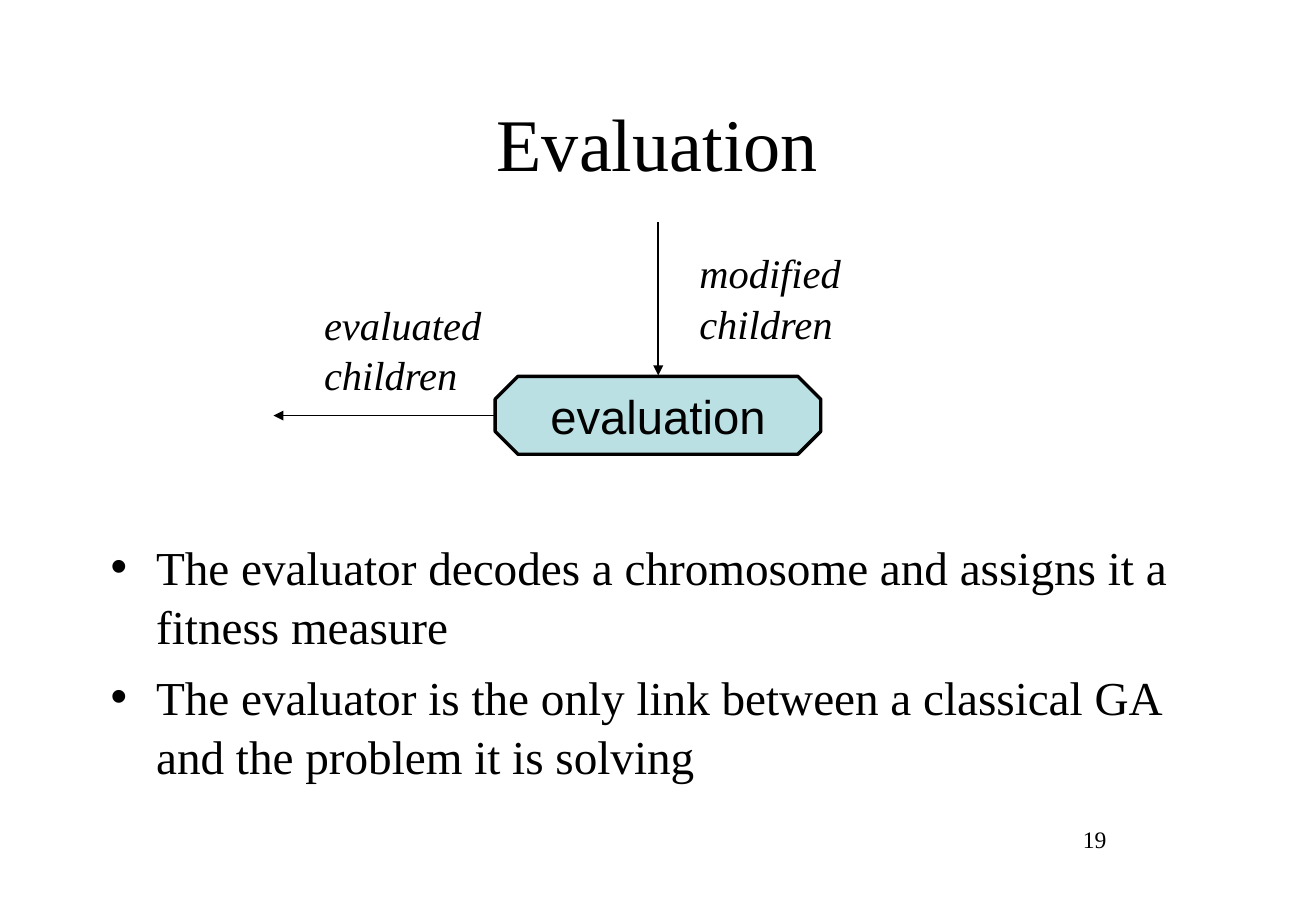
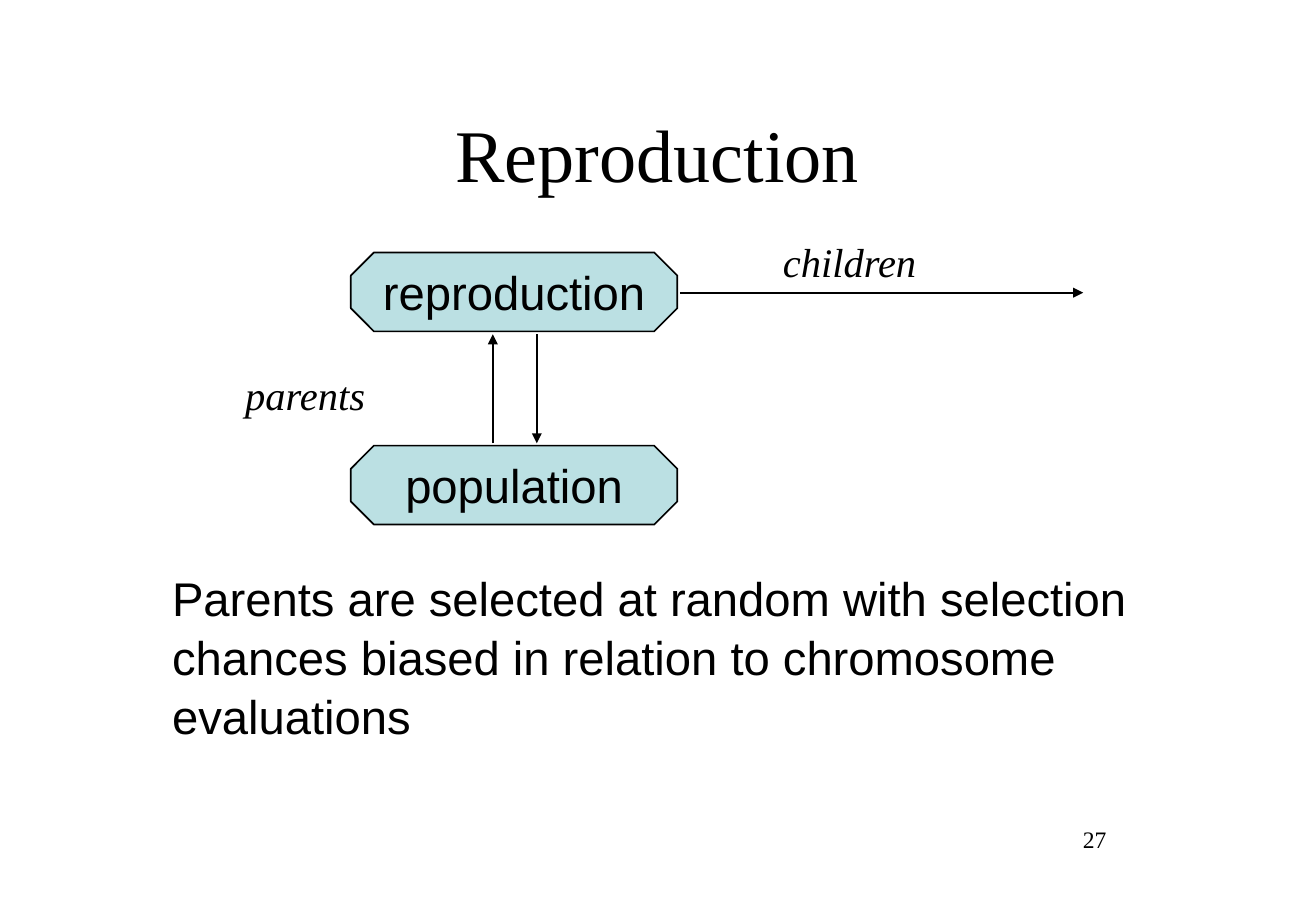
from dataclasses import dataclass

from lxml import etree
from pptx import Presentation
from pptx.dml.color import RGBColor
from pptx.enum.shapes import MSO_CONNECTOR, MSO_SHAPE
from pptx.enum.text import MSO_ANCHOR, MSO_AUTO_SIZE, PP_ALIGN
from pptx.oxml.ns import qn
from pptx.slide import Slide
from pptx.text.text import TextFrame
from pptx.util import Cm, Pt

# Shared style
BLACK = "000000"
PALE_TEAL = "BBE0E3"
SERIF = "Times New Roman"
SANS = "Arial"
MARGIN, CONTENT_WIDTH = 2.06, 23.39
LINE_SPACING = 1.04
TITLE_AND_BODY, TITLE_ONLY = 1, 5


@dataclass(frozen=True)
class Area:
    """Left, top, width and height in centimetres."""
    left: float
    top: float
    width: float
    height: float

    def lengths(self) -> tuple[Cm, Cm, Cm, Cm]:
        return Cm(self.left), Cm(self.top), Cm(self.width), Cm(self.height)


@dataclass(frozen=True)
class TextStyle:
    font: str
    size: float
    italic: bool = False
    align: PP_ALIGN = PP_ALIGN.LEFT
    spacing: float = 1.0
    gap: float = 0


@dataclass(frozen=True)
class Step:
    text: str
    area: Area
    outline: float


@dataclass(frozen=True)
class Arrow:
    """Runs from its plain end to its arrowhead, in centimetres."""
    x1: float
    y1: float
    x2: float
    y2: float


@dataclass(frozen=True)
class Label:
    lines: tuple[str, ...]
    area: Area


TITLE = TextStyle(SERIF, 44, align=PP_ALIGN.CENTER)
BULLETS = TextStyle(SERIF, 28, spacing=LINE_SPACING, gap=7)
STATEMENT = TextStyle(SANS, 28, spacing=LINE_SPACING)
STEP = TextStyle(SANS, 28, align=PP_ALIGN.CENTER)
LABEL = TextStyle(SERIF, 24, italic=True, spacing=LINE_SPACING)
NUMBER = TextStyle(SERIF, 14, align=PP_ALIGN.RIGHT)
NUMBER_AREA = Area(16.97, 17.12, 6.43, 1.32)


def color(value: str) -> RGBColor:
    return RGBColor.from_string(value)


def write(frame: TextFrame, lines: tuple[str, ...], style: TextStyle,
          anchor: MSO_ANCHOR = MSO_ANCHOR.TOP, wrap: bool = True) -> None:
    frame.auto_size = MSO_AUTO_SIZE.NONE
    frame.word_wrap = wrap
    frame.vertical_anchor = anchor
    for index, line in enumerate(lines):
        paragraph = frame.add_paragraph() if index else frame.paragraphs[0]
        paragraph.text = line
        paragraph.alignment = style.align
        paragraph.line_spacing = style.spacing
        paragraph.space_before = Pt(style.gap if index else 0)
        font = paragraph.font
        font.name, font.size, font.italic = style.font, Pt(style.size), style.italic
        font.color.rgb = color(BLACK)


def place(shape, area: Area) -> None:
    shape.left, shape.top, shape.width, shape.height = area.lengths()


def add_text(slide: Slide, lines: tuple[str, ...], area: Area,
             style: TextStyle, wrap: bool = True) -> None:
    box = slide.shapes.add_textbox(*area.lengths())
    write(box.text_frame, lines, style, wrap=wrap)


def add_step(slide: Slide, step: Step) -> None:
    octagon = slide.shapes.add_shape(MSO_SHAPE.OCTAGON, *step.area.lengths())
    octagon.shadow.inherit = False
    octagon.fill.solid()
    octagon.fill.fore_color.rgb = color(PALE_TEAL)
    octagon.line.color.rgb = color(BLACK)
    octagon.line.width = Pt(step.outline)
    write(octagon.text_frame, (step.text,), STEP, MSO_ANCHOR.MIDDLE, wrap=False)


def add_arrow(slide: Slide, arrow: Arrow) -> None:
    connector = slide.shapes.add_connector(
        MSO_CONNECTOR.STRAIGHT, Cm(arrow.x1), Cm(arrow.y1), Cm(arrow.x2), Cm(arrow.y2))
    connector.line.color.rgb = color(BLACK)
    connector.line.width = Pt(1)
    outline = connector.line._get_or_add_ln()
    etree.SubElement(outline, qn("a:tailEnd"), type="triangle")
    etree.SubElement(connector._element.spPr, qn("a:effectLst"))


def add_diagram(slide: Slide, steps: list[Step], arrows: list[Arrow],
                labels: list[Label]) -> None:
    for step in steps:
        add_step(slide, step)
    for arrow in arrows:
        add_arrow(slide, arrow)
    for label in labels:
        add_text(slide, label.lines, label.area, LABEL, wrap=False)


def start_slide(deck, layout: int, title: str, title_top: float, number: str) -> Slide:
    slide = deck.slides.add_slide(deck.slide_layouts[layout])
    heading = slide.shapes.title
    place(heading, Area(MARGIN, title_top, CONTENT_WIDTH, 3.18))
    write(heading.text_frame, (title,), TITLE, MSO_ANCHOR.BOTTOM)
    add_text(slide, (number,), NUMBER_AREA, NUMBER)
    return slide


def build_evaluation(deck) -> None:
    slide = start_slide(deck, TITLE_AND_BODY, "Evaluation", 0.84, "19")
    findings = slide.placeholders[1]
    place(findings, Area(MARGIN, 11.08, CONTENT_WIDTH, 5.25))
    write(findings.text_frame, (
        "The evaluator decodes a chromosome and assigns it a fitness measure",
        "The evaluator is the only link between a classical GA and the problem it is solving",
    ), BULLETS)
    add_diagram(
        slide,
        [Step("evaluation", Area(10.36, 7.87, 6.81, 1.63), 2)],
        [Arrow(13.77, 4.65, 13.77, 7.85), Arrow(10.34, 8.69, 5.72, 8.69)],
        [Label(("evaluated", "children"), Area(6.53, 6.1, 3.78, 2.29)),
         Label(("modified", "children"), Area(14.38, 5.03, 3.45, 2.29))])


def build_reproduction(deck) -> None:
    slide = start_slide(deck, TITLE_ONLY, "Reproduction", 1.07, "27")
    add_diagram(
        slide,
        [Step(name, Area(7.34, top, 6.83, 1.65), 1)
         for name, top in (("reproduction", 5.28), ("population", 9.32))],
        [Arrow(14.22, 6.12, 22.66, 6.12),
         Arrow(10.31, 9.27, 10.31, 6.99),
         Arrow(11.23, 6.99, 11.23, 9.27)],
        [Label(("parents",), Area(4.88, 7.57, 3.05, 1.27)),
         Label(("children",), Area(16.13, 4.8, 3.33, 1.27))])
    add_text(slide, (
        "Parents are selected at random with selection chances biased "
        "in relation to chromosome evaluations",
    ), Area(3.35, 11.73, 22.12, 3.81), STATEMENT)


def main() -> None:
    deck = Presentation()
    deck.slide_width, deck.slide_height = Cm(27.53), Cm(19.05)
    build_evaluation(deck)
    build_reproduction(deck)
    deck.save("out.pptx")


if __name__ == "__main__":
    main()
